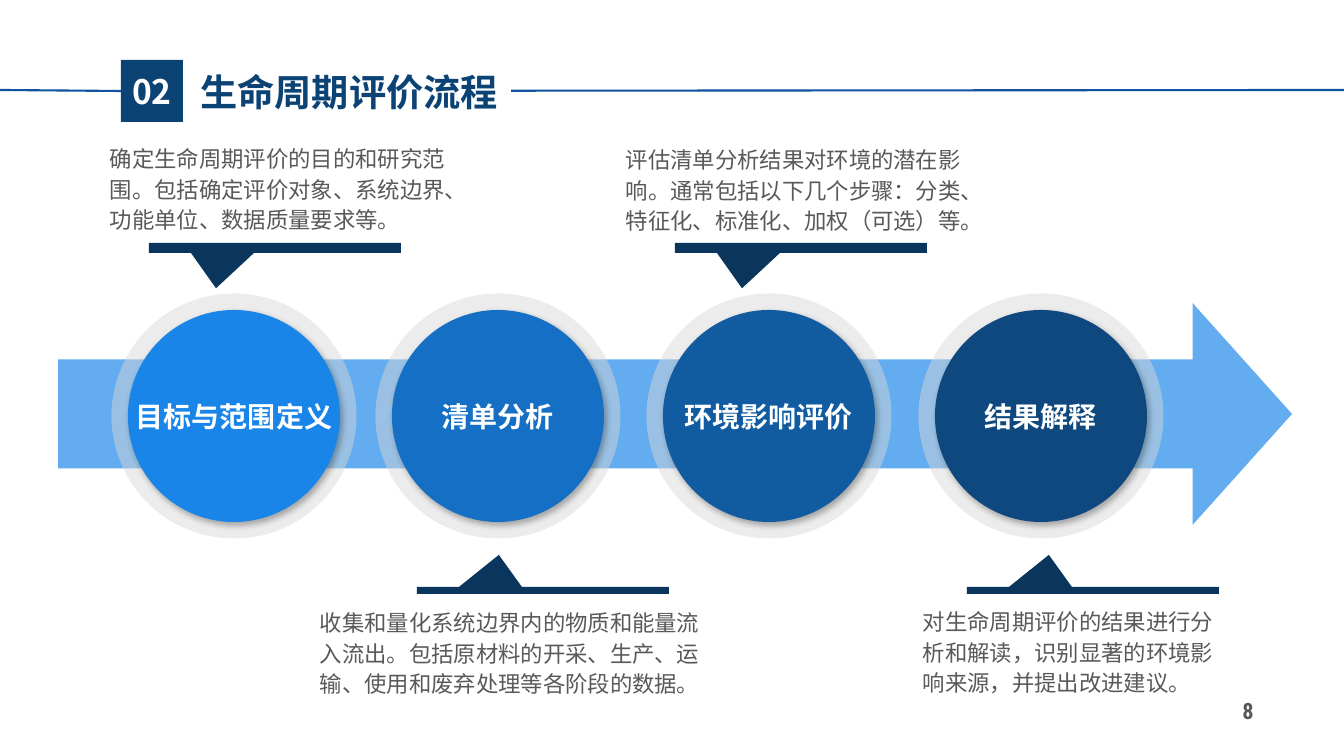
from lxml import etree
from pptx import Presentation
from pptx.dml.color import RGBColor
from pptx.enum.shapes import MSO_CONNECTOR, MSO_SHAPE
from pptx.enum.text import MSO_ANCHOR, MSO_AUTO_SIZE, PP_ALIGN
from pptx.oxml.ns import qn
from pptx.util import Pt

LEFT, CENTER = PP_ALIGN.LEFT, PP_ALIGN.CENTER
TOP, MIDDLE = MSO_ANCHOR.TOP, MSO_ANCHOR.MIDDLE
OVAL, CALLOUT = MSO_SHAPE.OVAL, MSO_SHAPE.RECTANGULAR_CALLOUT

WHITE = RGBColor(0xFF, 0xFF, 0xFF)
GREY = RGBColor(0x59, 0x59, 0x59)
HALO_GREY = RGBColor(0xD8, 0xD8, 0xD8)
NAVY = RGBColor(0x0C, 0x43, 0x75)
DARK_NAVY = RGBColor(0x0A, 0x35, 0x5C)
RULE_BLUE = RGBColor(0x10, 0x52, 0xA0)
ARROW_BLUE = RGBColor(0x19, 0x85, 0xE8)

CJK_FONT = "Noto Sans CJK SC"
SECTION_NUMBER = "02"
TITLE = "生命周期评价流程"
PAGE_NUMBER = "8"

# label, disc colour, centre x of the disc
STAGES = [
    ("目标与范围定义", ARROW_BLUE, 234),
    ("清单分析", RGBColor(0x15, 0x70, 0xC5), 498),
    ("环境影响评价", RGBColor(0x11, 0x5C, 0xA1), 769),
    ("结果解释", RGBColor(0x0E, 0x48, 0x7F), 1041),
]
# text, font, left, top, width
NOTES = [
    ("确定生命周期评价的目的和研究范围。包括确定评价对象、系统边界、功能单位、数据质量要求等。",
     CJK_FONT, 100, 136, 358),
    ("收集和量化系统边界内的物质和能量流入流出。包括原材料的开采、生产、运输、使用和废弃处理等各阶段的数据。",
     "Lato", 310, 600, 405),
    ("评估清单分析结果对环境的潜在影响。通常包括以下几个步骤：分类、特征化、标准化、加权（可选）等。",
     "Lato", 616, 137, 358),
    ("对生命周期评价的结果进行分析和解读，识别显著的环境影响来源，并提出改进建议。",
     "Lato", 913, 599, 325),
]
# top, height, pointer offsets, left edges
POINTERS = [
    (243, 10, (-0.234, 4.033), (149, 675)),
    (587, 7, (-0.175, -5.095), (417, 967)),
]
POINTER_WIDTH = 252
NOTE_HEIGHT = 92
STAGE_Y, HALO_SIZE, DISC_SIZE = 416, 245, 212
LABEL_WIDTH, LABEL_HEIGHT = 270, 86

EMU_PER_PX = 914400 / 100.8


def px(*lengths):
    return [round(length * EMU_PER_PX) for length in lengths]


def set_alpha(shape, percent):
    color = shape.fill._xPr.find(".//" + qn("a:srgbClr"))
    etree.SubElement(color, qn("a:alpha"), val=str(percent * 1000))


def add_soft_shadow(shape):
    effects = shape._element.spPr.find(qn("a:effectLst"))
    shadow = etree.SubElement(
        effects, qn("a:outerShdw"), blurRad=str(Pt(4.5)), dist=str(Pt(2.6)),
        dir=str(53 * 60000), algn="tl", rotWithShape="0")
    color = etree.SubElement(shadow, qn("a:srgbClr"), val="000000")
    etree.SubElement(color, qn("a:alpha"), val="30000")


def add_filled(shapes, kind, box, color, adjustments=()):
    shape = shapes.add_shape(kind, *px(*box))
    shape.shadow.inherit = False
    shape.fill.solid()
    shape.fill.fore_color.rgb = color
    shape.line.fill.background()
    for index, value in enumerate(adjustments):
        shape.adjustments[index] = value
    return shape


def write(shape, text, size, color, font=CJK_FONT, bold=True, align=CENTER,
          anchor=MIDDLE, wrap=True, spacing=None):
    frame = shape.text_frame
    frame.text = text
    frame.auto_size = MSO_AUTO_SIZE.NONE
    frame.word_wrap = wrap
    frame.vertical_anchor = anchor
    paragraph = frame.paragraphs[0]
    paragraph.alignment = align
    if spacing:
        paragraph.line_spacing = spacing
    run_font = paragraph.runs[0].font
    for name, value in {"name": font, "size": Pt(size), "bold": bold}.items():
        setattr(run_font, name, value)
    run_font.color.rgb = color
    latin = run_font._element.find(qn("a:latin"))
    latin.addnext(latin.makeelement(qn("a:ea"), {"typeface": CJK_FONT}))


def add_rule(shapes, *ends):
    rule = shapes.add_connector(MSO_CONNECTOR.STRAIGHT, *px(*ends))
    rule.line.color.rgb = RULE_BLUE
    rule.line.width = Pt(1.5)
    etree.SubElement(rule._element.spPr, qn("a:effectLst"))
    return rule


def add_header(slide):
    shapes = slide.shapes
    add_rule(shapes, 206, 91, 1344, 90)
    square = add_filled(shapes, MSO_SHAPE.RECTANGLE, (121, 60, 62, 62), NAVY)
    square.text_frame.margin_left = square.text_frame.margin_right = 0
    write(square, SECTION_NUMBER, 24, WHITE)
    add_rule(shapes, 0, 90, 121, 91).end_connect(square, 1)

    title = shapes.title
    title.left, title.top, title.width, title.height = px(190, 64, 321, 55)
    title.fill.solid()
    title.fill.fore_color.rgb = WHITE
    write(title, TITLE, 26.6, NAVY, align=LEFT, wrap=False)
    shapes._spTree.append(title._element)  # its white fill covers the rule


def add_stage(shapes, label, color, center_x):
    def centered(width, height):
        return center_x - width / 2, STAGE_Y - height / 2, width, height

    group = shapes.add_group_shape()
    halo = add_filled(group.shapes, OVAL, centered(HALO_SIZE, HALO_SIZE), HALO_GREY)
    set_alpha(halo, 48)
    disc = add_filled(group.shapes, OVAL, centered(DISC_SIZE, DISC_SIZE), color)
    add_soft_shadow(disc)
    box = group.shapes.add_textbox(*px(*centered(LABEL_WIDTH, LABEL_HEIGHT)))
    write(box, label, 20, WHITE)


def main():
    presentation = Presentation()
    presentation.slide_width, presentation.slide_height = px(1344, 756)
    slide = presentation.slides.add_slide(presentation.slide_layouts[5])
    shapes = slide.shapes

    add_header(slide)
    arrow = add_filled(shapes, MSO_SHAPE.RIGHT_ARROW, (58, 303, 1234, 222),
                       ARROW_BLUE, (0.491, 0.448))
    set_alpha(arrow, 68)
    for stage in STAGES:
        add_stage(shapes, *stage)
    for top, height, offsets, lefts in POINTERS:
        for left in lefts:
            add_filled(shapes, CALLOUT, (left, top, POINTER_WIDTH, height),
                       DARK_NAVY, offsets)
    for text, font, left, top, width in NOTES:
        box = shapes.add_textbox(*px(left, top, width, NOTE_HEIGHT))
        write(box, text, 16, GREY, font, bold=False, align=LEFT, anchor=TOP,
              spacing=Pt(22))
    page = shapes.add_textbox(*px(1217, 693, 62, 36))
    write(page, PAGE_NUMBER, 16, GREY, "Roboto Condensed")

    presentation.save("out.pptx")


if __name__ == "__main__":
    main()
